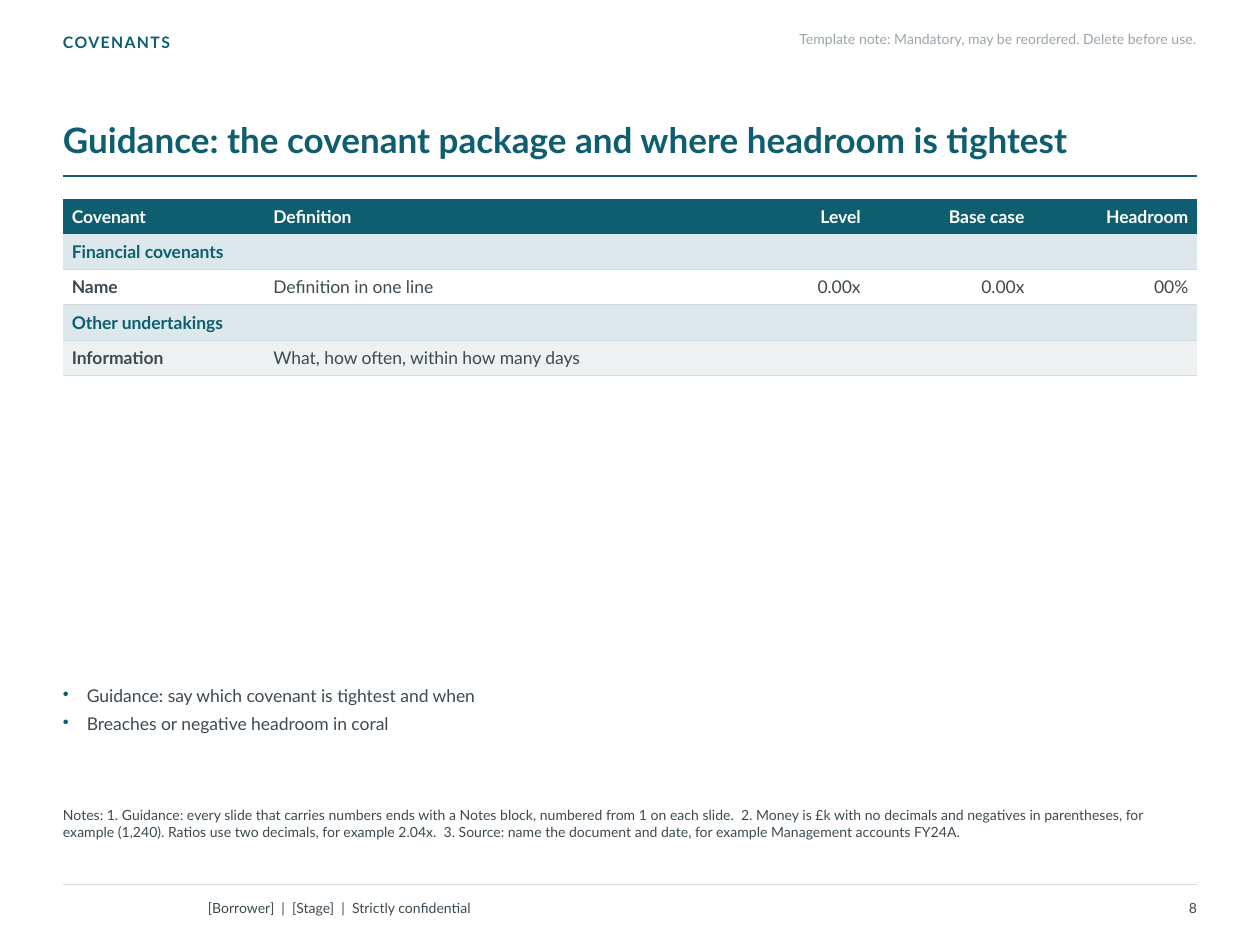
from dataclasses import dataclass

from lxml import etree
from pptx import Presentation
from pptx.dml.color import RGBColor
from pptx.enum.shapes import MSO_CONNECTOR
from pptx.enum.text import MSO_ANCHOR, PP_ALIGN
from pptx.oxml.ns import qn
from pptx.util import Inches, Pt

LEFT, RIGHT = PP_ALIGN.LEFT, PP_ALIGN.RIGHT
TOP, MIDDLE, BOTTOM = MSO_ANCHOR.TOP, MSO_ANCHOR.MIDDLE, MSO_ANCHOR.BOTTOM
STRAIGHT = MSO_CONNECTOR.STRAIGHT
NO_STYLE_NO_GRID = "{2D5ABB26-0587-4C30-8999-92F81FD0307C}"


@dataclass(frozen=True)
class Theme:
    font: str = "Lato"
    teal: str = "0E5E6F"
    ink: str = "3D4A52"
    muted: str = "9AA5AB"
    hairline: str = "D3D9DC"
    section: str = "DCE8EB"
    stripe: str = "EEF1F2"
    white: str = "FFFFFF"
    title: int = 20
    body: int = 10
    label: int = 9
    small: int = 8


theme = Theme()

# The slide is a grid of 100 columns by 75 rows
prs = Presentation()
prs.slide_width, prs.slide_height = Inches(10), Inches(7.5)
COL, ROW = prs.slide_width / 100, prs.slide_height / 75
MARGIN, CONTENT = 5, 90
slide = prs.slides.add_slide(prs.slide_layouts[6])


def add_run(paragraph, text, size, color, bold=False):
    run = paragraph.add_run()
    run.text = text
    run.font.name = theme.font
    run.font.size = Pt(size)
    run.font.bold = bold
    run.font.color.rgb = RGBColor.from_string(color)
    return run


def add_text(left, top, width, height, text, size, color, bold=False,
             align=LEFT, anchor=TOP):
    """Add a margin-free box at a grid place; return its frame and run."""
    box = slide.shapes.add_textbox(round(left * COL), round(top * ROW),
                                   round(width * COL), round(height * ROW))
    frame = box.text_frame
    frame.word_wrap = True
    frame.vertical_anchor = anchor
    frame.margin_left = frame.margin_right = 0
    frame.margin_top = frame.margin_bottom = 0
    frame.paragraphs[0].alignment = align
    return frame, add_run(frame.paragraphs[0], text, size, color, bold)


# Rules under the title and above the footer
for rule_row, color, weight in ((14, theme.teal, 1.25), (70.2, theme.hairline, 0.75)):
    y = round(rule_row * ROW)
    rule = slide.shapes.add_connector(STRAIGHT, round(MARGIN * COL), y,
                                      round((MARGIN + CONTENT) * COL), y)
    rule.line.color.rgb = RGBColor.from_string(color)
    rule.line.width = Pt(weight)
    etree.SubElement(rule.element.spPr, qn("a:effectLst"))

# Header
_, section_label = add_text(MARGIN, 2.6, 70, 2.4, "COVENANTS",
                            theme.label, theme.teal, bold=True)
section_label.font._element.set("spc", "80")
add_text(54, 2.4, 41, 2.4,
         "Template note: Mandatory, may be reordered. Delete before use.",
         theme.small, theme.muted, align=RIGHT)
title, _ = add_text(MARGIN, 5, CONTENT, 8.2,
                    "Guidance: the covenant package and where headroom is tightest",
                    theme.title, theme.teal, bold=True, anchor=BOTTOM)
title.margin_bottom = Inches(0.04)
title.paragraphs[0].line_spacing = 0.92

# Covenant table: a row with one entry is a section heading
COLUMN_SPANS = (16, 36, 12, 13, 13)
ROW_SPAN = 2.8
FIRST_NUMBER_COLUMN = 2
covenants = (
    ("Covenant", "Definition", "Level", "Base case", "Headroom"),
    ("Financial covenants",),
    ("Name", "Definition in one line", "0.00x", "0.00x", "00%"),
    ("Other undertakings",),
    ("Information", "What, how often, within how many days", "", "", ""),
)
table = slide.shapes.add_table(
    len(covenants), len(COLUMN_SPANS), round(MARGIN * COL), round(15.8 * ROW),
    round(CONTENT * COL), round(ROW_SPAN * len(covenants) * ROW)).table
table.horz_banding = False
table._tbl.tblPr.find(qn("a:tableStyleId")).text = NO_STYLE_NO_GRID
for column, span in zip(table.columns, COLUMN_SPANS):
    column.width = round(span * COL)

for r, entries in enumerate(covenants):
    table.rows[r].height = round(ROW_SPAN * ROW)
    is_header, is_section = r == 0, len(entries) == 1
    if is_section:
        table.cell(r, 0).merge(table.cell(r, len(COLUMN_SPANS) - 1))
    if is_header:
        fill, color = theme.teal, theme.white
    elif is_section:
        fill, color = theme.section, theme.teal
    else:
        fill, color = (theme.white if r % 4 else theme.stripe), theme.ink

    for c in range(len(COLUMN_SPANS)):
        cell = table.cell(r, c)
        cell.vertical_anchor = MIDDLE
        cell.margin_left = cell.margin_right = Inches(0.07)
        cell.margin_top = cell.margin_bottom = Inches(0.04)
        cell.fill.solid()
        cell.fill.fore_color.rgb = RGBColor.from_string(fill)
        if not is_header:
            border = etree.Element(qn("a:lnB"), w=str(Pt(0.5)))
            stroke = etree.SubElement(border, qn("a:solidFill"))
            etree.SubElement(stroke, qn("a:srgbClr"), val=theme.hairline)
            cell._tc.get_or_add_tcPr().insert(0, border)
        paragraph = cell.text_frame.paragraphs[0]
        paragraph.alignment = RIGHT if c >= FIRST_NUMBER_COLUMN else LEFT
        if c < len(entries) and entries[c]:
            add_run(paragraph, entries[c], theme.body, color,
                    bold=is_header or c == 0)
        else:
            etree.SubElement(paragraph._p, qn("a:endParaRPr"),
                             sz=str(theme.body * 100))

# Commentary bullets
takeaways = ("Guidance: say which covenant is tightest and when",
             "Breaches or negative headroom in coral")
commentary, _ = add_text(MARGIN, 54.2, CONTENT, 9, takeaways[0],
                         theme.body, theme.ink)
commentary.margin_top = Inches(0.02)
for takeaway in takeaways[1:]:
    paragraph = commentary.add_paragraph()
    paragraph.space_before = Pt(4)
    add_run(paragraph, takeaway, theme.body, theme.ink)
for paragraph in commentary.paragraphs:
    properties = paragraph._p.get_or_add_pPr()
    properties.set("marL", str(Inches(0.19)))
    properties.set("indent", str(-Inches(0.19)))
    bullet_color = etree.SubElement(properties, qn("a:buClr"))
    etree.SubElement(bullet_color, qn("a:srgbClr"), val=theme.teal)
    etree.SubElement(properties, qn("a:buChar"), char="•")

# Notes and footer
add_text(MARGIN, 64, CONTENT, 5.8,
         "Notes: 1. Guidance: every slide that carries numbers ends with a Notes "
         "block, numbered from 1 on each slide.  2. Money is £k with no decimals "
         "and negatives in parentheses, for example (1,240). Ratios use two "
         "decimals, for example 2.04x.  3. Source: name the document and date, "
         "for example Management accounts FY24A.",
         theme.small, theme.ink)
add_text(16.5, 70.8, 56, 2.6, "[Borrower]  |  [Stage]  |  Strictly confidential",
         theme.small, theme.ink, anchor=MIDDLE)
add_text(85, 70.8, 10, 2.6, "8", theme.small, theme.ink, align=RIGHT, anchor=MIDDLE)

prs.save("out.pptx")
